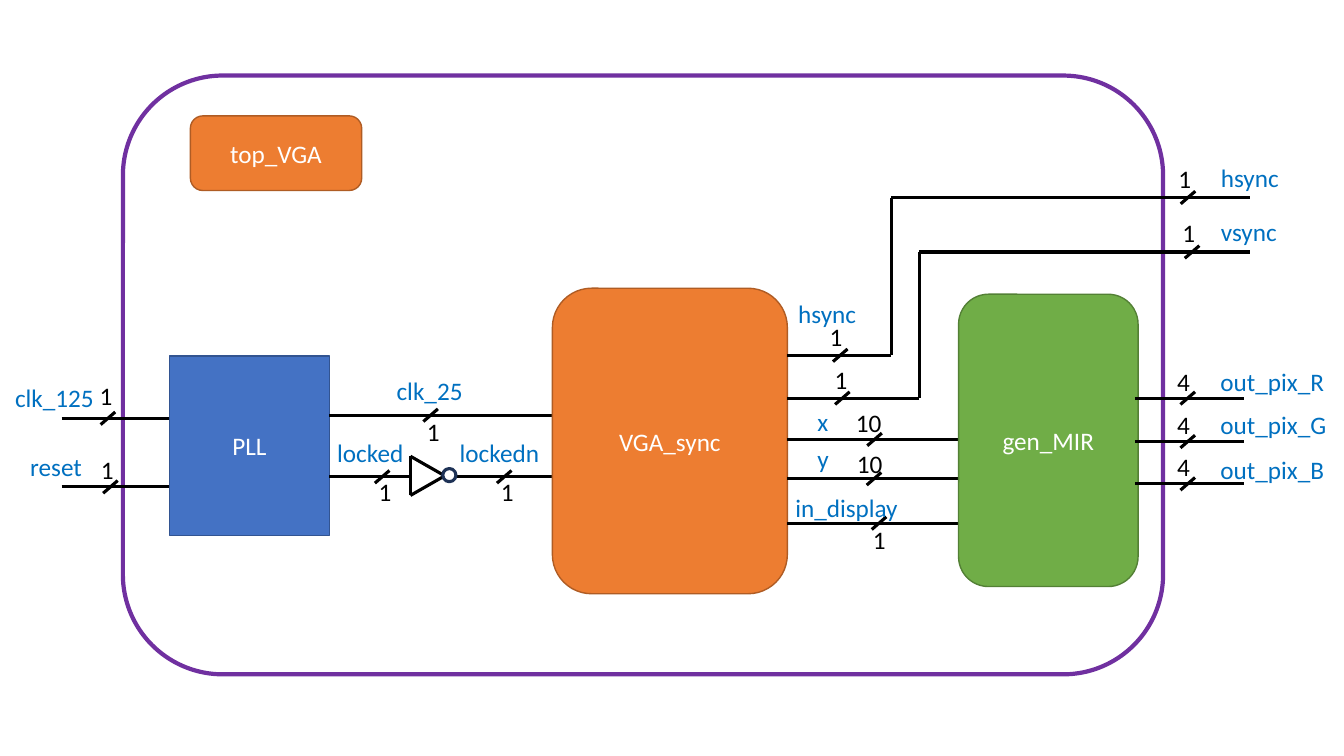
import dataclasses

import lxml.etree
import pptx
import pptx.dml.color
import pptx.enum.shapes
import pptx.enum.text
import pptx.oxml.ns
import pptx.util

Pt = pptx.util.Pt
RGBColor = pptx.dml.color.RGBColor
Shape = pptx.enum.shapes.MSO_SHAPE

BLACK = RGBColor(0x00, 0x00, 0x00)
WHITE = RGBColor(0xFF, 0xFF, 0xFF)
PURPLE = RGBColor(0x70, 0x30, 0xA0)
BLUE = RGBColor(0x44, 0x72, 0xC4)
BLUE_EDGE = RGBColor(0x32, 0x54, 0x91)
ORANGE = RGBColor(0xED, 0x7D, 0x31)
ORANGE_EDGE = RGBColor(0xAF, 0x5C, 0x24)
GREEN = RGBColor(0x70, 0xAD, 0x47)
GREEN_EDGE = RGBColor(0x53, 0x80, 0x35)
NAVY = RGBColor(0x1E, 0x32, 0x56)
SIGNAL_BLUE = RGBColor(0x00, 0x70, 0xC0)

LABEL_HEIGHT = 29
DIGIT_WIDTH = 9.3
LABEL_INSETS = 14.4


@dataclasses.dataclass
class Box:
    left: float
    top: float
    width: float
    height: float

    @property
    def right(self):
        return self.left + self.width


def write(para, text, color):
    span = para.add_run()
    span.text = text
    span.font.name = "Calibri"
    span.font.size = Pt(18)
    span.font.color.rgb = color


def add_block(page, kind, box, fill, edge, edge_width=1, text=""):
    shape = page.shapes.add_shape(
        kind, Pt(box.left), Pt(box.top), Pt(box.width), Pt(box.height))
    shape.shadow.inherit = False
    shape.fill.solid()
    shape.fill.fore_color.rgb = fill
    shape.line.color.rgb = edge
    shape.line.width = Pt(edge_width)
    if text:
        frame = shape.text_frame
        frame.vertical_anchor = pptx.enum.text.MSO_ANCHOR.MIDDLE
        para = frame.paragraphs[0]
        para.alignment = pptx.enum.text.PP_ALIGN.CENTER
        write(para, text, WHITE)


def add_label(page, text, left, top, width, color, wrap=True):
    label = page.shapes.add_textbox(Pt(left), Pt(top), Pt(width), Pt(LABEL_HEIGHT))
    label.text_frame.word_wrap = wrap
    write(label.text_frame.paragraphs[0], text, color)


def add_wires(page, *points):
    """Join successive points with straight lines."""
    for (x1, y1), (x2, y2) in zip(points, points[1:]):
        wire = page.shapes.add_connector(
            pptx.enum.shapes.MSO_CONNECTOR.STRAIGHT, Pt(x1), Pt(y1), Pt(x2), Pt(y2))
        wire.line.color.rgb = BLACK
        wire.line.width = Pt(2.25)
        properties = wire._element.spPr
        lxml.etree.SubElement(properties, pptx.oxml.ns.qn("a:effectLst"))


def add_bus_mark(page, x, y, bits, dx, dy):
    """Cross a wire at (x, y) and put its bit count at an offset from there."""
    add_wires(page, (x - 5.2, y + 4.5), (x + 5.2, y - 4.5))
    width = DIGIT_WIDTH * len(bits) + LABEL_INSETS
    add_label(page, bits, x + dx, y + dy, width, BLACK, wrap=False)


def add_signal(page, start, end, y, mark, name):
    """Draw a wire; mark is (x, bits, dx, dy), name is (text, dx, dy, width), from its start."""
    add_wires(page, (start, y), (end, y))
    mark_x, bits, dx, dy = mark
    add_bus_mark(page, start + mark_x, y, bits, dx, dy)
    text, dx, dy, width = name
    add_label(page, text, start + dx, y + dy, width, SIGNAL_BLUE)


def draw_frame(page, frame):
    add_block(page, Shape.ROUNDED_RECTANGLE, frame, WHITE, PURPLE, 3)
    badge = Box(frame.left + 48.2, frame.top + 28.8, 122.4, 53.3)
    add_block(page, Shape.ROUNDED_RECTANGLE, badge, ORANGE, ORANGE_EDGE, text="top_VGA")


def draw_inverter(page, box):
    middle = box.top + box.height / 2
    tip = (box.right, middle)
    top, bottom = (box.left, box.top), (box.left, box.top + box.height)
    add_wires(page, top, tip, bottom, top)
    bubble = Box(box.right - 1.4, middle - 5.2, 9.4, 9.4)
    add_block(page, Shape.OVAL, bubble, WHITE, NAVY, 2.25)


def draw_pll(page, pll, next_left):
    """Draw the PLL with its inputs, and its outputs up to next_left."""
    add_block(page, Shape.RECTANGLE, pll, BLUE, BLUE_EDGE, text="PLL")
    inputs = [
        (44.6, (33.1, "1", -13, -31), ("clk_125", -40.3, -29.5, 84.2)),
        (93.6, (34.9, "1", -14, -26.7), ("reset", -29.5, -28.8, 56.2)),
    ]
    for row, mark, name in inputs:
        add_signal(page, pll.left - 77, pll.left, pll.top + row, mark, name)

    locked_row = 86.4
    gate = Box(pll.right + 58, pll.top + locked_row - 14.7, 24.5, 28)
    outputs = [
        (pll.right, next_left, 42.4,
         (72.4, "1", -9.7, -2.9), ("clk_25", 41, -32.4, 72.7)),
        (pll.right, gate.left, locked_row,
         (37.8, "1", -9.7, -3.6), ("locked", -1.4, -31.7, 67)),
        (gate.right + 8, next_left, locked_row,
         (34.5, "1", -9.4, -3.6), ("lockedn", -4.4, -31.7, 76.3)),
    ]
    for start, end, row, mark, name in outputs:
        add_signal(page, start, end, pll.top + row, mark, name)
    draw_inverter(page, gate)


def draw_vga_sync(page, vga, next_left):
    """Draw VGA_sync with its pixel signals, up to next_left."""
    add_block(page, Shape.ROUNDED_RECTANGLE, vga, ORANGE, ORANGE_EDGE, text="VGA_sync")
    signals = [
        (108, (62.3, "10", -20.5, -26.6), ("x", 14.4, -27.3, 32.4)),
        (136.1, (61.9, "10", -19.4, -25.2), ("y", 14.4, -28.8, 32.4)),
        (167.8, (65.5, "1", -11.5, -2.9), ("in_display", -1.4, -25.9, 115.2)),
    ]
    for row, mark, name in signals:
        add_signal(page, vga.right, next_left, vga.top + row, mark, name)


def draw_sync_outputs(page, vga, end):
    """Route hsync and vsync from VGA_sync up and out of the frame."""
    routes = [
        ("hsync", 47.9, 74.2, -64.8, 37.8, -14.7, 286.2),
        ("vsync", 78.5, 94.3, -25.9, 39.3, -12.6, 289.1),
    ]
    for name, row, bend, exit_row, mark, digit_dx, exit_mark in routes:
        y, exit_y = vga.top + row, vga.top + exit_row
        x = vga.right + bend
        add_wires(page, (vga.right, y), (x, y), (x, exit_y), (end, exit_y))
        add_bus_mark(page, vga.right + mark, y, "1", digit_dx, -27.5)
        add_bus_mark(page, vga.right + exit_mark, exit_y, "1", -14, -28)
        add_label(page, name, end - 27.8, exit_y - 28.8, 74.2, SIGNAL_BLUE)
    add_label(page, "hsync", vga.right + 0.7, vga.top + 3.6, 74.2, SIGNAL_BLUE)


def draw_gen_mir(page, mir):
    add_block(page, Shape.ROUNDED_RECTANGLE, mir, GREEN, GREEN_EDGE, text="gen_MIR")
    outputs = [("out_pix_R", 74.2, -26.6), ("out_pix_G", 105.2, -26.6),
               ("out_pix_B", 135.4, -24.5)]
    start = mir.right - 2.2
    for name, row, name_dy in outputs:
        add_signal(page, start, start + 77.8, mir.top + row,
                   (37.7, "4", -14.6, -26.6), (name, 54, name_dy, 95.8))


def main():
    deck = pptx.Presentation()
    deck.slide_width, deck.slide_height = Pt(960), Pt(540)
    page = deck.slides.add_slide(deck.slide_layouts[6])

    frame = Box(87.8, 54, 743, 427.7)
    pll = Box(121, 254.2, 114.2, 128.2)
    vga = Box(394.6, 205.9, 167.8, 218.2)
    mir = Box(684.7, 210.2, 128.2, 208.8)

    draw_frame(page, frame)
    draw_pll(page, pll, vga.left)
    draw_vga_sync(page, vga, mir.left)
    draw_gen_mir(page, mir)
    draw_sync_outputs(page, vga, 892.8)
    deck.save("out.pptx")


if __name__ == "__main__":
    main()
